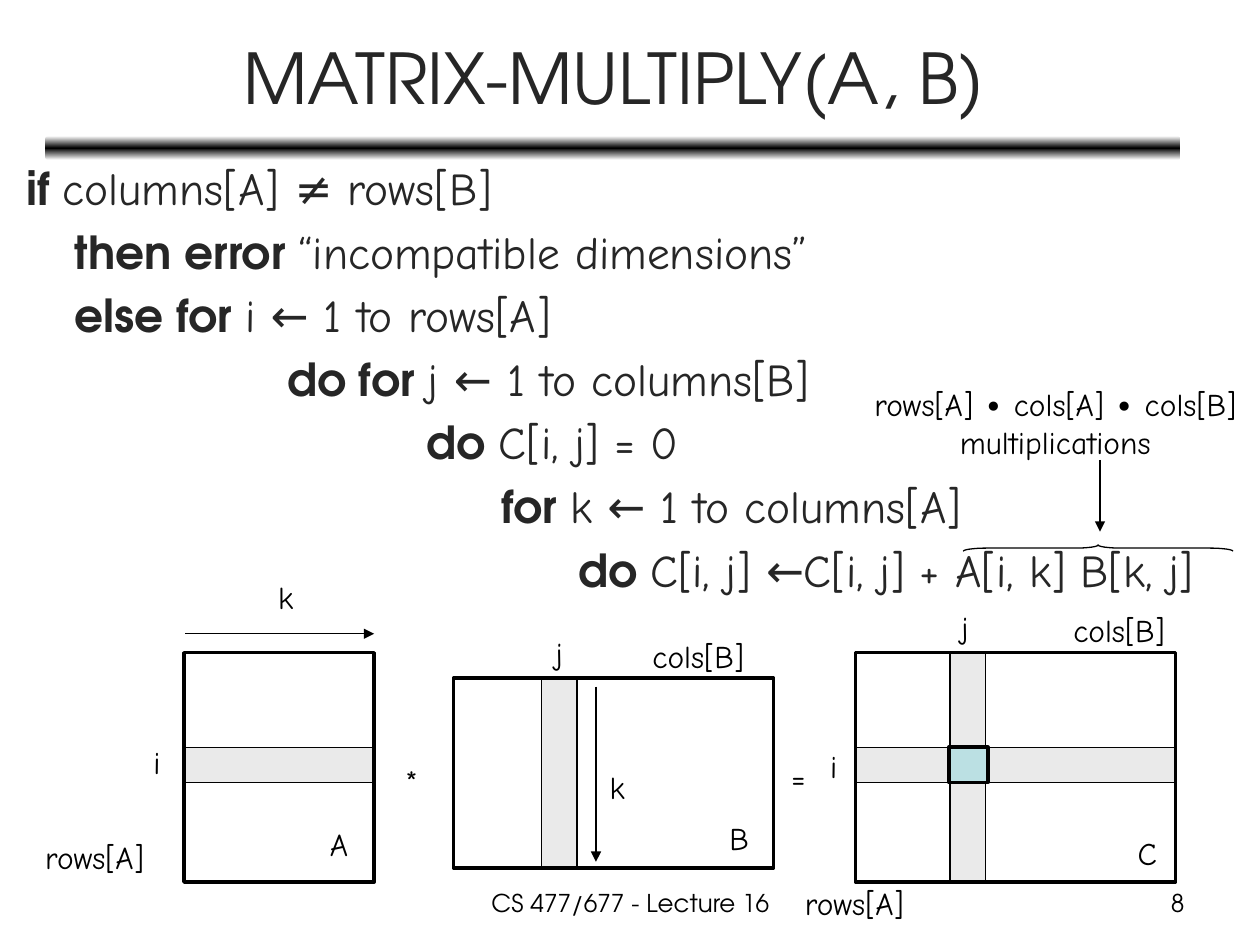
from copy import deepcopy
from dataclasses import dataclass
from typing import Optional

from pptx import Presentation
from pptx.dml.color import RGBColor
from pptx.enum.shapes import MSO_CONNECTOR, MSO_SHAPE
from pptx.enum.text import MSO_ANCHOR, MSO_AUTO_SIZE, PP_ALIGN
from pptx.oxml.ns import qn
from pptx.oxml.xmlchemy import OxmlElement
from pptx.util import Emu, Inches, Pt

LEFT, CENTER, RIGHT = PP_ALIGN.LEFT, PP_ALIGN.CENTER, PP_ALIGN.RIGHT
TOP, MIDDLE = MSO_ANCHOR.TOP, MSO_ANCHOR.MIDDLE
RECTANGLE, ROUNDED, BRACE = MSO_SHAPE.RECTANGLE, MSO_SHAPE.ROUNDED_RECTANGLE, MSO_SHAPE.LEFT_BRACE

BLACK = RGBColor(0x00, 0x00, 0x00)
WHITE = RGBColor(0xFF, 0xFF, 0xFF)
INK = RGBColor(0x26, 0x26, 0x26)
BAND_GRAY = RGBColor(0xEA, 0xEA, 0xEA)
CELL_TEAL = RGBColor(0xBB, 0xE0, 0xE3)
SANS, HAND = "TeX Gyre Adventor", "Comic Neue"

# The page is a grid of 100 columns by 75 rows of square cells.
PAGE_WIDTH, PAGE_HEIGHT = Inches(10), Inches(7.5)
CELL = PAGE_WIDTH // 100
THIN, THICK = 0.75, 2
BAND = 2.8
LABEL_ROWS = 4


@dataclass(frozen=True)
class Box:
    column: float
    row: float
    columns: float
    rows: float

    def lengths(self) -> list[Emu]:
        return [Emu(round(n * CELL)) for n in (self.column, self.row, self.columns, self.rows)]


@dataclass(frozen=True)
class Matrix:
    frame: Box
    band_row: Optional[float] = None
    band_column: Optional[float] = None


@dataclass(frozen=True)
class CodeLine:
    indent: float
    keyword: str
    rest: str


@dataclass(frozen=True)
class Label:
    text: str
    column: float
    row: float
    columns: float


CODE = [
    CodeLine(0, "if ", "columns[A] ≠ rows[B]"),
    CodeLine(3.8, "then error ", "“incompatible dimensions”"),
    CodeLine(3.8, "else for ", "i ← 1 to rows[A]"),
    CodeLine(20.7, "do for ", "j ← 1 to columns[B]"),
    CodeLine(31.8, "do ", "C[i, j] = 0"),
    CodeLine(37.7, "for ", "k ← 1 to columns[A]"),
    CodeLine(43.8, "do ", "C[i, j] ←C[i, j] + A[i, k] B[k, j]"),
]
MATRICES = [
    Matrix(Box(14.6, 51.8, 15.1, 18.2), band_row=59.3),
    Matrix(Box(36, 53.8, 25.4, 15.1), band_column=43),
    Matrix(Box(67.9, 51.8, 25.4, 18.2), band_row=59.3, band_column=75.4),
]
LABELS = [
    Label("rows[A]", 2.6, 66, 11.2), Label("rows[A]", 62.9, 69.7, 11.2),
    Label("cols[B]", 50.8, 50.1, 10), Label("cols[B]", 84.2, 48, 10),
    Label("i", 11.2, 58.5, 2.7), Label("i", 64.9, 58.8, 2.7),
    Label("j", 43.1, 49.8, 3), Label("j", 75.3, 47.8, 3),
    Label("k", 21.1, 45.4, 3.4), Label("k", 47.4, 60.5, 3.4),
    Label("A", 25.2, 65, 3.8), Label("B", 56.9, 64.5, 3.6), Label("C", 89.3, 65.7, 3.5),
    Label("*", 31.2, 60, 3.3), Label("=", 61.8, 59.7, 3.3),
]
ARROWS = [
    (14.7, 50.3, 29.7, 50.3),
    (47.3, 54.5, 47.3, 68.4),
    (87.3, 36.5, 87.3, 42.2),
]


def add_span(para, text: str, font: str, size: float, color: RGBColor, bold: bool = False) -> None:
    span = para.add_run()
    span.text = text
    span.font.name, span.font.size, span.font.bold = font, Pt(size), bold
    span.font.color.rgb = color


def add_text(page, text: str, box: Box, *, font: str = HAND, size: float = 18,
             color: RGBColor = BLACK, align=LEFT, anchor=TOP, wrap: bool = False) -> None:
    frame = page.shapes.add_textbox(*box.lengths()).text_frame
    frame.word_wrap = wrap
    frame.auto_size = MSO_AUTO_SIZE.NONE if wrap else MSO_AUTO_SIZE.SHAPE_TO_FIT_TEXT
    frame.vertical_anchor = anchor
    for number, line in enumerate(text.split("\n")):
        para = frame.add_paragraph() if number else frame.paragraphs[0]
        para.alignment = align
        add_span(para, line, font, size, color)


def add_code(page, lines: list[CodeLine], box: Box, size: float) -> None:
    frame = page.shapes.add_textbox(*box.lengths()).text_frame
    frame.word_wrap = True
    for number, line in enumerate(lines):
        para = frame.add_paragraph() if number else frame.paragraphs[0]
        para._p.get_or_add_pPr().set("marL", str(round(line.indent * CELL)))
        para.space_before = Pt(size * 0.2 if number else 0)
        add_span(para, line.keyword, SANS, size, INK, bold=True)
        add_span(para, line.rest, HAND, size, INK)


def add_outline(page, box: Box, fill: Optional[RGBColor] = None, weight: float = THIN,
                preset=RECTANGLE):
    shape = page.shapes.add_shape(preset, *box.lengths())
    shape.shadow.inherit = False
    if fill is None:
        shape.fill.background()
    else:
        shape.fill.solid()
        shape.fill.fore_color.rgb = fill
    shape.line.color.rgb = BLACK
    shape.line.width = Pt(weight)
    return shape


def add_matrix(page, matrix: Matrix) -> None:
    frame = matrix.frame
    if matrix.band_column is not None:
        add_outline(page, Box(matrix.band_column, frame.row, BAND, frame.rows), BAND_GRAY)
    if matrix.band_row is not None:
        add_outline(page, Box(frame.column, matrix.band_row, frame.columns, BAND), BAND_GRAY)
    add_outline(page, frame, weight=THICK)


def add_arrow(page, *ends: float) -> None:
    arrow = page.shapes.add_connector(MSO_CONNECTOR.STRAIGHT, *(Emu(round(n * CELL)) for n in ends))
    arrow.line.color.rgb = BLACK
    arrow.line.width = Pt(THIN)
    head = OxmlElement("a:tailEnd")
    head.set("type", "triangle")
    arrow.line._get_or_add_ln().append(head)
    arrow._element.spPr.append(OxmlElement("a:effectLst"))


def add_title_rule(page, box: Box) -> None:
    """Draw the bar that fades from black in the middle to white at top and bottom."""
    bar = page.shapes.add_shape(ROUNDED, *box.lengths())
    bar.shadow.inherit = False
    bar.line.fill.background()
    bar.fill.gradient()
    bar.fill.gradient_angle = 90
    stops = bar._element.spPr.find(qn("a:gradFill")).find(qn("a:gsLst"))
    stops.append(deepcopy(stops[0]))
    for stop, position, color in zip(bar.fill.gradient_stops, (0, 0.5, 1), (WHITE, BLACK, WHITE)):
        stop.position = position
        stop.color.rgb = color


def main() -> None:
    deck = Presentation()
    deck.slide_width, deck.slide_height = PAGE_WIDTH, PAGE_HEIGHT
    page = deck.slides.add_slide(deck.slide_layouts[6])

    add_title_rule(page, Box(3.6, 10.8, 90.1, 1.9))
    add_text(page, "MATRIX-MULTIPLY(A, B)", Box(3.7, 1.1, 90, 9.9), font=SANS, size=40,
             color=INK, align=CENTER, anchor=MIDDLE, wrap=True)
    add_code(page, CODE, Box(1.1, 12.2, 98.9, 55.5), 26)

    for matrix in MATRICES:
        add_matrix(page, matrix)
    add_outline(page, Box(75.3, 59.3, 3.1, BAND), CELL_TEAL, THICK)
    for label in LABELS:
        add_text(page, label.text, Box(label.column, label.row, label.columns, LABEL_ROWS))

    add_text(page, "rows[A] ∙ cols[A] ∙ cols[B]\nmultiplications", Box(68, 30.1, 31.5, 7),
             align=CENTER)
    brace = add_outline(page, Box(86.9, 32.8, 0.5, 21.4), preset=BRACE)
    brace.adjustments[0] = 3.66
    brace.rotation = 90
    for arrow in ARROWS:
        add_arrow(page, *arrow)

    add_text(page, "CS 477/677 - Lecture 16", Box(34.2, 70, 31.7, 3.5), font=SANS, size=14,
             align=CENTER, wrap=True)
    add_text(page, "8", Box(71.7, 70, 23.3, 3.5), font=SANS, size=14, align=RIGHT, wrap=True)
    deck.save("out.pptx")


if __name__ == "__main__":
    main()
